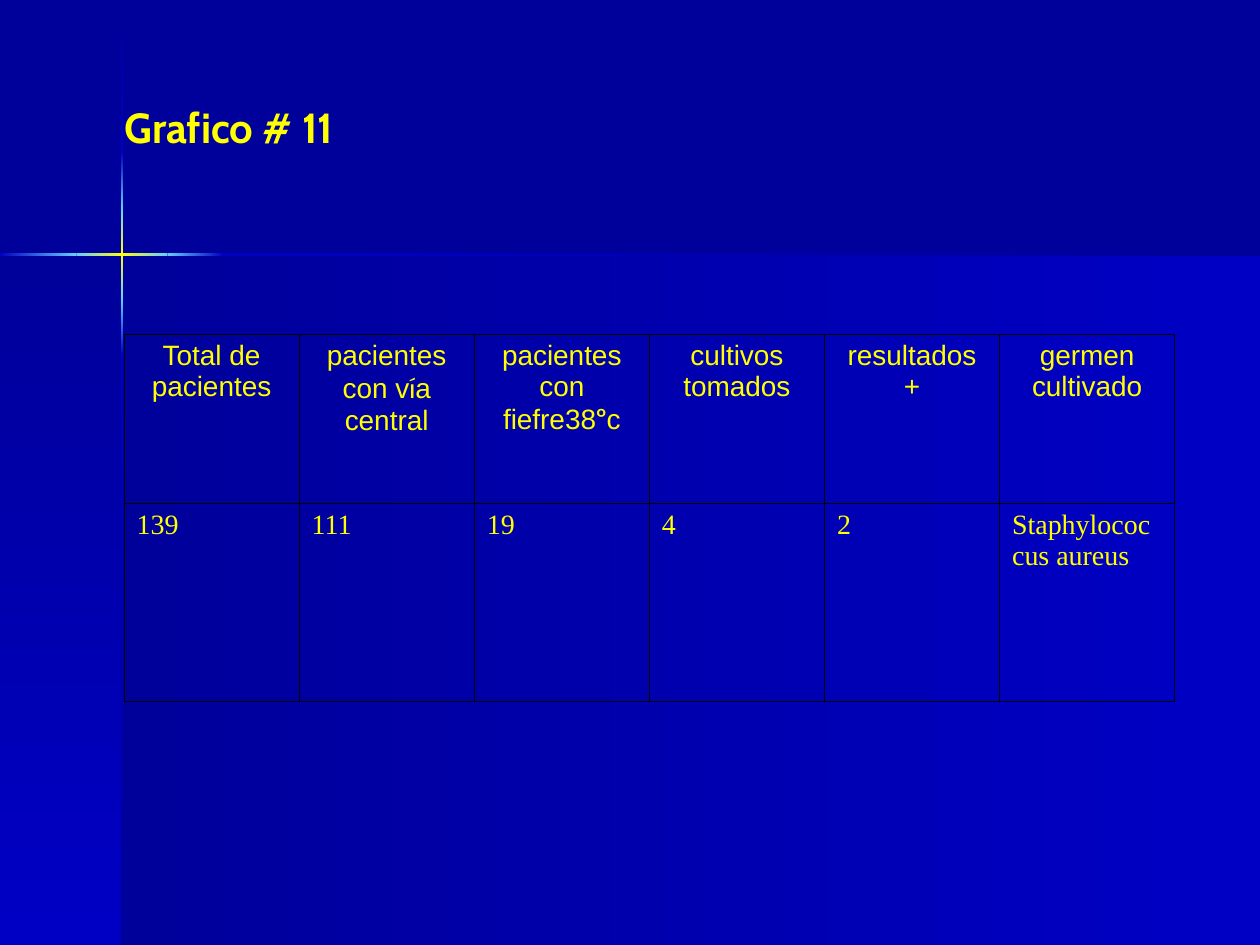
from dataclasses import dataclass
from itertools import pairwise

import lxml.etree
import pptx
import pptx.dml.color
import pptx.enum.shapes
import pptx.enum.text
import pptx.oxml.ns
import pptx.util

Cm = pptx.util.Cm
Pt = pptx.util.Pt
qn = pptx.oxml.ns.qn
ALIGN = pptx.enum.text.PP_ALIGN
COLORS = {
    "navy": "00009A",
    "blue": "0000C4",
    "sky": "66CCFF",
    "glow": "FFFF0D",
    "text": "FFFF00",
    "border": "000000",
}
WIDTH, HEIGHT = 25.4, 19.05
CROSS_X, CROSS_Y = 2.46, 5.13
BEAM = 0.05
COL_WIDTH = 3.53
ROW_HEIGHTS = (3.42, 3.98)


@dataclass
class Band:
    left: float
    top: float
    width: float
    height: float
    colors: tuple[str, ...]
    vertical: bool = False


@dataclass
class Run:
    text: str
    font: str = "Arial"
    size: int = 16
    bold: bool = False


HEADERS = [
    [Run("Total de pacientes")],
    [Run("pacientes con v"), Run("í", "Cabin"), Run("a central")],
    [Run("pacientes con fiefre38"), Run("º", "Cabin"), Run("c")],
    [Run("cultivos tomados")],
    [Run("resultados +")],
    [Run("germen cultivado")],
]
VALUES = [
    [Run(value, "Times New Roman")]
    for value in ("139", "111", "19", "4", "2", "Staphylococcus aureus")
]


def rgb(name: str) -> pptx.dml.color.RGBColor:
    return pptx.dml.color.RGBColor.from_string(COLORS[name])


def add_band(s, band: Band) -> None:
    sp = s.shapes.add_shape(
        pptx.enum.shapes.MSO_SHAPE.RECTANGLE,
        Cm(band.left), Cm(band.top), Cm(band.width), Cm(band.height),
    )
    sp.shadow.inherit = False
    sp.line.fill.background()
    sp.fill.gradient()
    sp.fill.gradient_angle = 270 if band.vertical else 0
    stops = sp.element.spPr.find(".//" + qn("a:gsLst"))
    for stop in list(stops):
        stops.remove(stop)
    for i, name in enumerate(band.colors):
        pos = str(100000 * i // (len(band.colors) - 1))
        stop = lxml.etree.SubElement(stops, qn("a:gs"), pos=pos)
        lxml.etree.SubElement(stop, qn("a:srgbClr"), val=COLORS[name])


def add_beam(s, marks: list[float], names: list[str], vertical: bool) -> None:
    for (start, end), colors in zip(pairwise(marks), pairwise(names)):
        if colors == ("sky", "sky"):
            colors = ("sky", "glow", "sky")
        if vertical:
            band = Band(CROSS_X - BEAM / 2, start, BEAM, end - start, colors, True)
        else:
            band = Band(start, CROSS_Y - BEAM / 2, end - start, BEAM, colors)
        add_band(s, band)


def write_runs(p, runs: list[Run], align: ALIGN) -> None:
    p.alignment = align
    for run in runs:
        r = p.add_run()
        r.text = run.text
        r.font.name = run.font
        r.font.size = Pt(run.size)
        r.font.bold = run.bold
        r.font.color.rgb = rgb("text")


def add_borders(cell) -> None:
    tc_pr = cell._tc.get_or_add_tcPr()
    for side in ("a:lnL", "a:lnR", "a:lnT", "a:lnB"):
        ln = lxml.etree.SubElement(tc_pr, qn(side), w=str(Pt(0.45)))
        fill = lxml.etree.SubElement(ln, qn("a:solidFill"))
        lxml.etree.SubElement(fill, qn("a:srgbClr"), val=COLORS["border"])


def add_results(s) -> None:
    table = s.shapes.add_table(
        len(ROW_HEIGHTS), len(HEADERS), Cm(2.5), Cm(6.73),
        Cm(COL_WIDTH * len(HEADERS)), Cm(sum(ROW_HEIGHTS)),
    ).table
    table.first_row = False
    table.horz_banding = False
    for column in table.columns:
        column.width = Cm(COL_WIDTH)
    for row, height in zip(table.rows, ROW_HEIGHTS):
        row.height = Cm(height)
    for row, texts, align in zip(
        table.rows, (HEADERS, VALUES), (ALIGN.CENTER, ALIGN.JUSTIFY)
    ):
        for cell, runs in zip(row.cells, texts):
            add_borders(cell)
            cell.fill.background()
            write_runs(cell.text_frame.paragraphs[0], runs, align)


def main() -> None:
    prs = pptx.Presentation()
    prs.slide_width, prs.slide_height = Cm(WIDTH), Cm(HEIGHT)
    s = prs.slides.add_slide(prs.slide_layouts[6])
    s.background.fill.solid()
    s.background.fill.fore_color.rgb = rgb("navy")

    panel_height = HEIGHT - CROSS_Y
    add_band(s, Band(CROSS_X, CROSS_Y, WIDTH - CROSS_X, panel_height, ("navy", "blue")))
    add_band(s, Band(0, CROSS_Y, CROSS_X, panel_height, ("navy", "blue"), True))
    fade = ["blue", "sky", "sky", "blue", "navy"]
    add_beam(s, [0.03, 3.07, 4.19, 6.05, 7.16, HEIGHT], ["navy", *fade], True)
    add_beam(s, [0, 1.54, 3.38, 4.5, WIDTH], fade, False)

    title = s.shapes.add_textbox(Cm(2.26), Cm(1.93), Cm(5.51), Cm(2.29))
    tf = title.text_frame
    tf.word_wrap = True
    write_runs(tf.paragraphs[0], [Run("Grafico # 11", "Cabin", 24, True)], ALIGN.LEFT)
    add_results(s)
    prs.save("out.pptx")


if __name__ == "__main__":
    main()
